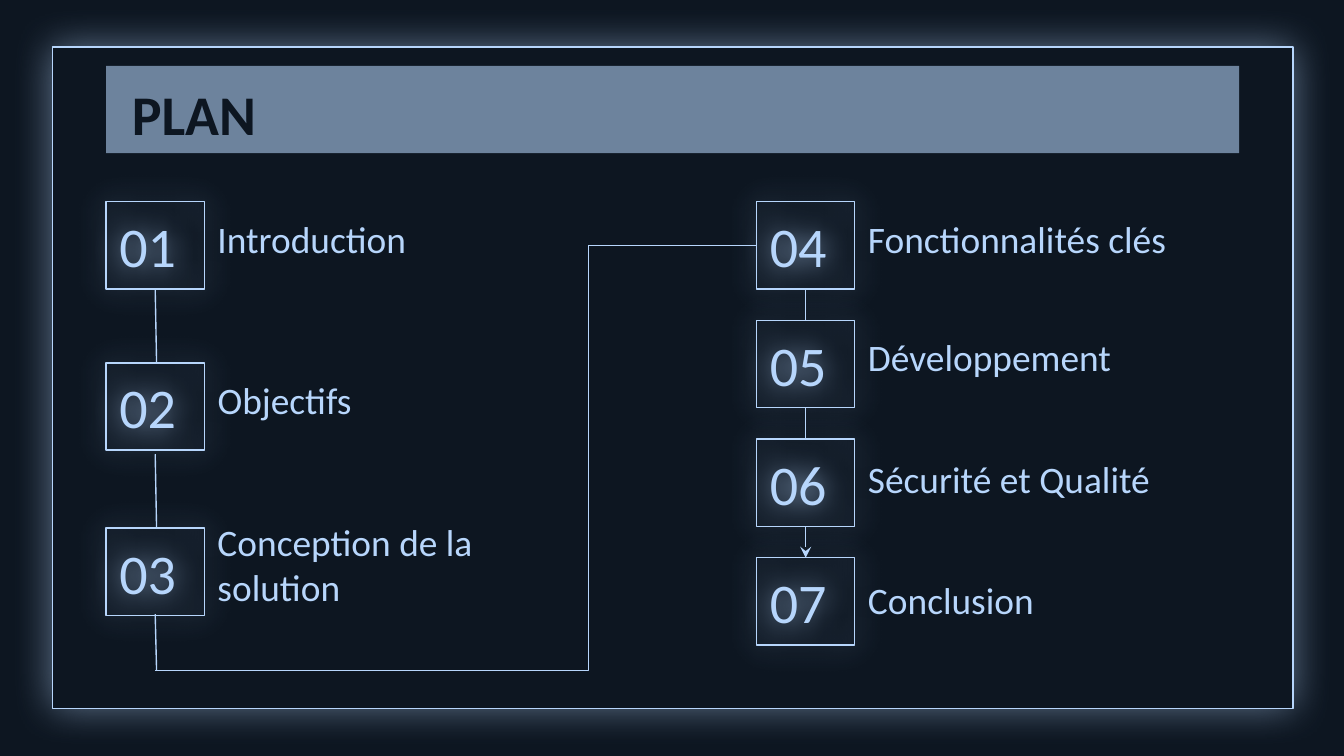
from dataclasses import dataclass

import pptx
import pptx.dml.color
import pptx.enum.shapes
import pptx.enum.text
import pptx.oxml
import pptx.oxml.ns
import pptx.util

ANCHOR = pptx.enum.text.MSO_ANCHOR
CONNECTOR = pptx.enum.shapes.MSO_CONNECTOR
RECTANGLE = pptx.enum.shapes.MSO_SHAPE.RECTANGLE
NS = pptx.oxml.ns.nsdecls("a")
inch = pptx.util.Inches

WIDTH = 10
HEIGHT = WIDTH * 9 / 16
NIGHT, SKY = "0D1621", "B7D6FC"
BOX_W, BOX_H = 0.73, 0.65
LEFT_COLUMN, RIGHT_COLUMN = 0.79, 5.63
FIRST_ROW, LAST_ROW = 1.5, 4.15
RIGHT_PITCH = (LAST_ROW - FIRST_ROW) / 3
LEFT_ROWS = (FIRST_ROW, 2.7, 3.93)
RIGHT_ROWS = [FIRST_ROW + RIGHT_PITCH * row for row in range(4)]
ROUTE_BOTTOM = 4.99


@dataclass
class Step:
    label: str
    left: float
    top: float
    label_width: float
    label_bottom: float = 0.54  # below the top of the number box
    label_height: float = 0.42


STEPS = [
    Step("Introduction", LEFT_COLUMN, LEFT_ROWS[0], 2.86),
    Step("Objectifs", LEFT_COLUMN, LEFT_ROWS[1], 1.65),
    Step("Conception de la solution", LEFT_COLUMN, LEFT_ROWS[2], 2.33, 0.7, 0.75),
    Step("Fonctionnalités clés", RIGHT_COLUMN, RIGHT_ROWS[0], 2.86),
    Step("Développement", RIGHT_COLUMN, RIGHT_ROWS[1], 2.48),
    Step("Sécurité et Qualité", RIGHT_COLUMN, RIGHT_ROWS[2], 2.86, 0.56),
    Step("Conclusion", RIGHT_COLUMN, RIGHT_ROWS[3], 1.65, 0.58),
]


def rgb(colour: str):
    return pptx.dml.color.RGBColor.from_string(colour)


def apply(target, values: dict) -> None:
    for name, value in values.items():
        setattr(target, name, value)


def write(shape, text: str, size: int, anchor, colour: str = SKY,
          bold: bool = False, indent: float = 0.1) -> None:
    frame = shape.text_frame
    frame.text = text
    margin = inch(0.1)
    apply(frame, {
        "word_wrap": True, "auto_size": pptx.enum.text.MSO_AUTO_SIZE.NONE,
        "vertical_anchor": anchor, "margin_left": inch(indent),
        "margin_right": margin, "margin_top": margin, "margin_bottom": margin,
    })
    paragraph = frame.paragraphs[0]
    apply(paragraph, {"alignment": pptx.enum.text.PP_ALIGN.LEFT, "line_spacing": 1.0})
    apply(paragraph.font, {"name": "Calibri", "size": pptx.util.Pt(size), "bold": bold})
    paragraph.font.color.rgb = rgb(colour)


def add_glowing_box(slide, left: float, top: float, width: float, height: float,
                    blur: float, opacity: int):
    box = slide.shapes.add_shape(RECTANGLE, *map(inch, (left, top, width, height)))
    box.fill.background()
    box.line.color.rgb = rgb(SKY)
    box.line.width = pptx.util.Pt(0.75)
    box._element.spPr.append(pptx.oxml.parse_xml(
        f'<a:effectLst {NS}><a:outerShdw blurRad="{pptx.util.Pt(blur)}" dist="0" dir="0" '
        f'algn="bl" rotWithShape="0"><a:srgbClr val="{SKY}"><a:alpha val="{opacity * 1000}"/>'
        '</a:srgbClr></a:outerShdw></a:effectLst>'))
    return box


def add_step(slide, number: int, step: Step) -> None:
    box = add_glowing_box(slide, step.left, step.top, BOX_W, BOX_H, 15.8, 100)
    write(box, f"{number:02}", 30, ANCHOR.MIDDLE)
    label_top = step.top + step.label_bottom - step.label_height
    label = slide.shapes.add_textbox(*map(inch, (
        step.left + BOX_W, label_top, step.label_width, step.label_height)))
    write(label, step.label, 20, ANCHOR.BOTTOM)


def add_link(slide, x1: float, y1: float, x2: float, y2: float,
             kind=CONNECTOR.STRAIGHT, arrow: bool = False):
    link = slide.shapes.add_connector(kind, *map(inch, (x1, y1, x2, y2)))
    link.line.color.rgb = rgb(SKY)
    link.line.width = pptx.util.Pt(0.75)
    if arrow:
        link.line._get_or_add_ln().append(
            pptx.oxml.parse_xml(f'<a:tailEnd {NS} type="stealth"/>'))
    link._element.spPr.append(pptx.oxml.parse_xml(f"<a:effectLst {NS}/>"))
    return link


def add_title(slide) -> None:
    title = slide.shapes.title
    apply(title, {"left": inch(LEFT_COLUMN), "top": inch(0.49),
                  "width": inch(8.43), "height": inch(BOX_H)})
    title.fill.solid()
    title.fill.fore_color.rgb = rgb(SKY)
    colour = title._element.spPr.find(".//" + pptx.oxml.ns.qn("a:srgbClr"))
    colour.append(pptx.oxml.parse_xml(f'<a:alpha {NS} val="57000"/>'))
    write(title, "PLAN", 30, ANCHOR.TOP, NIGHT, bold=True, indent=0.19)


def add_route(slide) -> None:
    # Left column, down to the turn
    x = LEFT_COLUMN + BOX_W / 2
    for top, bottom in ((2.15, 2.7), (3.38, 3.93), (4.57, ROUTE_BOTTOM)):
        add_link(slide, x, top, x + 0.01, bottom)

    # Turn from step 3 to step 4
    turn = add_link(slide, x, ROUTE_BOTTOM, RIGHT_COLUMN, FIRST_ROW + BOX_H / 2,
                    CONNECTOR.ELBOW)
    geometry = turn._element.spPr.find(pptx.oxml.ns.qn("a:prstGeom"))
    for old in list(geometry):
        geometry.remove(old)
    geometry.append(pptx.oxml.parse_xml(
        f'<a:avLst {NS}><a:gd name="adj1" fmla="val 72000"/></a:avLst>'))

    # Right column, ending in an arrow
    x = RIGHT_COLUMN + BOX_W / 2
    for above, below in zip(RIGHT_ROWS, RIGHT_ROWS[1:]):
        add_link(slide, x, above + BOX_H, x, below, arrow=below == RIGHT_ROWS[-1])


def main() -> None:
    deck = pptx.Presentation()
    apply(deck, {"slide_width": inch(WIDTH), "slide_height": inch(HEIGHT)})
    slide = deck.slides.add_slide(deck.slide_layouts[5])
    slide.background.fill.solid()
    slide.background.fill.fore_color.rgb = rgb(NIGHT)

    # Frame, behind the title
    frame = add_glowing_box(slide, 0.39, 0.35, 9.23, 4.92, 21.4, 50)
    frame.fill.solid()
    frame.fill.fore_color.rgb = rgb(NIGHT)
    slide.shapes.title._element.addprevious(frame._element)

    add_title(slide)
    for number, step in enumerate(STEPS, 1):
        add_step(slide, number, step)
    add_route(slide)
    deck.save("out.pptx")


if __name__ == "__main__":
    main()
